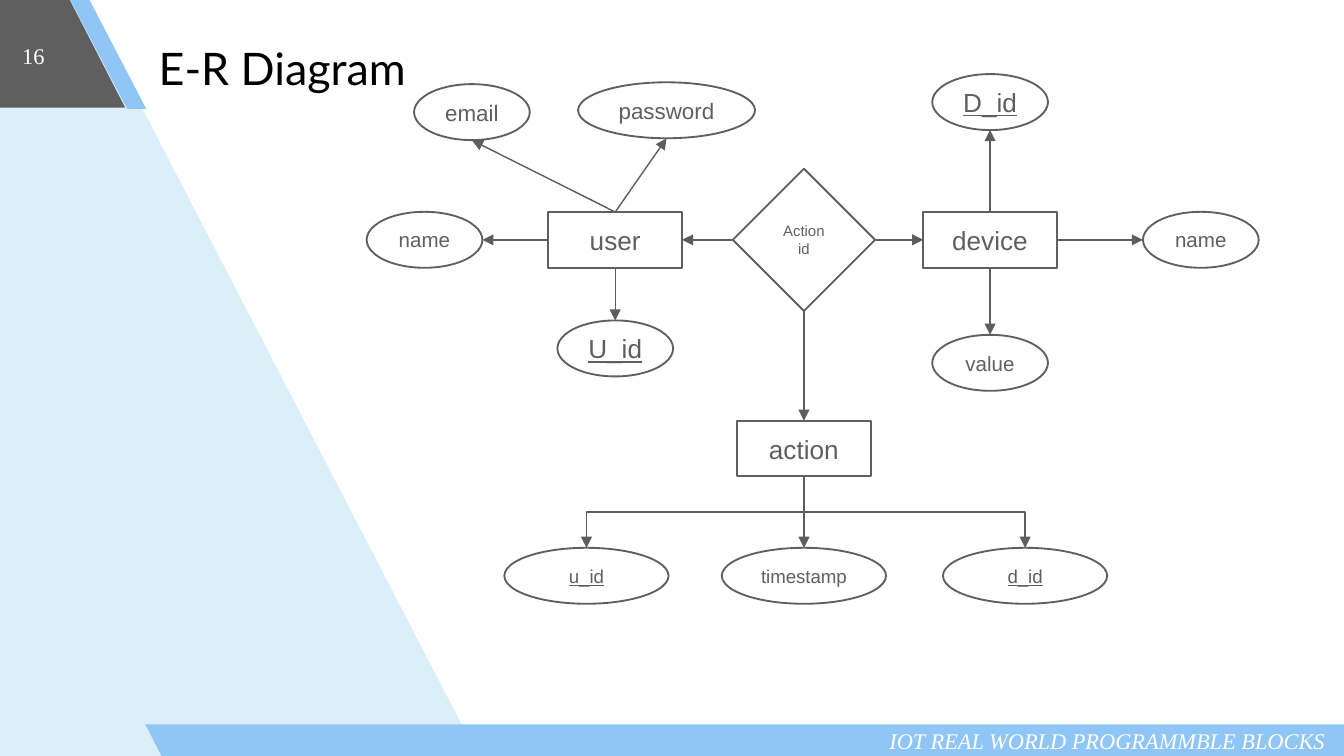
from dataclasses import dataclass
from pptx import Presentation
from pptx.dml.color import RGBColor
from pptx.enum.shapes import MSO_CONNECTOR, MSO_SHAPE
from pptx.enum.text import MSO_ANCHOR, MSO_AUTO_SIZE, PP_ALIGN
from pptx.oxml.ns import qn
from pptx.oxml.xmlchemy import OxmlElement
from pptx.util import Pt

RECT, OVAL, DIAMOND = MSO_SHAPE.RECTANGLE, MSO_SHAPE.OVAL, MSO_SHAPE.DIAMOND
SLANT = MSO_SHAPE.PARALLELOGRAM
STRAIGHT, ELBOW = MSO_CONNECTOR.STRAIGHT, MSO_CONNECTOR.ELBOW
TOP, MIDDLE = MSO_ANCHOR.TOP, MSO_ANCHOR.MIDDLE
LEFT, CENTER = PP_ALIGN.LEFT, PP_ALIGN.CENTER
NORTH, WEST, SOUTH, EAST = range(4)


@dataclass(frozen=True)
class Theme:
    ink: str = "5F5F5F"
    wire: str = "5D5D5D"
    pale: str = "DBEFF9"
    blue: str = "90C6F6"
    white: str = "FFFFFF"
    black: str = "000000"
    head: str = "Lato"
    serif: str = "Times New Roman"
    sans: str = "Arial"
    title: int = 24
    large: int = 14
    mid: int = 12
    small: int = 11
    fine: int = 10
    tiny: int = 8


THEME = Theme()
ROW, BASE = 128.5, 308.5
USER, HUB, DEVICE = 329.6, 430.7, 530.4
BOX, DOT, WIDE = (71.6, 29.8), (62, 30), (88, 30)

NODES = {
    "user": (RECT, USER, ROW, BOX, "user", THEME.large, False),
    "device": (RECT, DEVICE, ROW, BOX, "device", THEME.large, False),
    "action": (RECT, HUB, 240.3, BOX, "action", THEME.large, False),
    "link": (DIAMOND, HUB, ROW, (76.2, 76.2), "Action\nid", THEME.tiny, False),
    "email": (OVAL, 252.8, 60.1, DOT, "email", THEME.mid, False),
    "password": (OVAL, 357.1, 59.1, (94.8, 30), "password", THEME.mid, False),
    "user name": (OVAL, 227.4, ROW, DOT, "name", THEME.small, False),
    "user id": (OVAL, USER, 186.7, DOT, "U_id", THEME.large, True),
    "device id": (OVAL, DEVICE, 54.7, DOT, "D_id", THEME.large, True),
    "device name": (OVAL, 643.3, ROW, DOT, "name", THEME.small, False),
    "value": (OVAL, DEVICE, 194.4, DOT, "value", THEME.small, False),
    "user key": (OVAL, 314.2, BASE, WIDE, "u_id", THEME.fine, True),
    "time": (OVAL, HUB, BASE, WIDE, "timestamp", THEME.fine, False),
    "device key": (OVAL, 549.2, BASE, WIDE, "d_id", THEME.fine, True),
}

LINKS = [
    ("link", WEST, "user", EAST),
    ("link", EAST, "device", WEST),
    ("link", SOUTH, "action", NORTH),
    ("user", WEST, "user name", EAST),
    ("user", SOUTH, "user id", NORTH),
    ("user", NORTH, "password", SOUTH),
    ("user", NORTH, "email", SOUTH),
    ("device", NORTH, "device id", SOUTH),
    ("device", EAST, "device name", WEST),
    ("device", SOUTH, "value", NORTH),
    ("action", SOUTH, "time", NORTH),
]


def rgb(code):
    return RGBColor.from_string(code)


def place(shape, x, y, w, h):
    shape.left, shape.top, shape.width, shape.height = map(Pt, (x, y, w, h))


def write(par, text, size, face, color, italic=False, under=False):
    run = par.add_run()
    run.text = text
    font = run.font
    font.size, font.name = Pt(size), face
    font.color.rgb = rgb(color)
    font.bold, font.italic, font.underline = False, italic, under


def paint(shape, fill, line=None):
    shape.shadow.inherit = False
    shape.fill.solid()
    shape.fill.fore_color.rgb = rgb(fill)
    if line:
        shape.line.color.rgb = rgb(line)
        shape.line.width = Pt(1)
    else:
        shape.line.fill.background()


def add_slant(slide, x, y, w, h, adjust, fill):
    shape = slide.shapes.add_shape(SLANT, Pt(x), Pt(y), Pt(w), Pt(h))
    shape.adjustments[0] = adjust
    shape._element.spPr.find(qn("a:xfrm")).set("flipH", "1")
    paint(shape, fill)


def add_back(slide):
    points = [(256.3, 405.4), (44.6, -2.9), (-4.3, -2.9), (-1.4, 407.5)]
    points = [(Pt(x), Pt(y)) for x, y in points]
    form = slide.shapes.build_freeform(*points[0])
    form.add_line_segments(points[1:], close=True)
    paint(form.convert_to_shape(), THEME.pale)
    add_slant(slide, -71.3, -1.4, 138.4, 59, 0.515, THEME.ink)
    add_slant(slide, 37.4, -0.7, 41, 59, 0.75, THEME.blue)
    add_slant(slide, 77.8, 388, 658.8, 18, 0.514, THEME.blue)


def fill_holder(slide, holder, spot, anchor, align, *style):
    slide.shapes._spTree.append(holder._element)
    place(holder, *spot)
    frame = holder.text_frame
    frame.auto_size = MSO_AUTO_SIZE.NONE
    frame.vertical_anchor = anchor
    par = frame.paragraphs[0]
    par.alignment = align
    par.space_before = Pt(0)
    props = par._p.get_or_add_pPr()
    props.set("marL", "0")
    props.set("indent", "0")
    props.append(OxmlElement("a:buNone"))
    write(par, *style)
    return frame


def add_footer(slide):
    box = slide.shapes.add_textbox(Pt(469.4), Pt(386), Pt(250.6), Pt(21.6))
    frame = box.text_frame
    frame.word_wrap = False
    write(frame.paragraphs[0], "IOT REAL WORLD PROGRAMMBLE BLOCKS",
          THEME.mid, THEME.serif, THEME.white, italic=True)


def add_node(slide, kind, x, y, span, text, size, under):
    w, h = span
    shape = slide.shapes.add_shape(kind, Pt(x - w / 2), Pt(y - h / 2), Pt(w), Pt(h))
    paint(shape, THEME.white, THEME.ink)
    frame = shape.text_frame
    frame.vertical_anchor = MIDDLE
    for i, line in enumerate(text.split("\n")):
        par = frame.add_paragraph() if i else frame.paragraphs[0]
        par.alignment = CENTER
        write(par, line, size, THEME.sans, THEME.ink, under=under)
    return shape


def port(name, side):
    _, x, y, (w, h), *_ = NODES[name]
    dx, dy = [(0, -h), (-w, 0), (0, h), (w, 0)][side]
    return x + dx / 2, y + dy / 2


def add_wire(slide, kind, start, end):
    wire = slide.shapes.add_connector(kind, *map(Pt, (*start, *end)))
    wire.line.color.rgb = rgb(THEME.wire)
    wire.line.width = Pt(0.75)
    tip = OxmlElement("a:tailEnd")
    tip.set("type", "triangle")
    wire.line._get_or_add_ln().append(tip)
    wire._element.spPr.append(OxmlElement("a:effectLst"))
    return wire


def add_link(slide, shapes, source, side, target, face):
    wire = add_wire(slide, STRAIGHT, port(source, side), port(target, face))
    wire.begin_connect(shapes[source], side)
    if NODES[target][0] == RECT:
        wire.end_connect(shapes[target], face)


def add_branch(slide, target):
    start, end = port("action", SOUTH), port(target, NORTH)
    wire = add_wire(slide, ELBOW, start, end)
    run, drop = abs(end[0] - start[0]), end[1] - start[1]
    x, y = (start[0] + end[0]) / 2, (start[1] + end[1]) / 2
    place(wire, x - drop / 2, y - run / 2, drop, run)
    right = end[0] > start[0]
    frame = wire._element.spPr.find(qn("a:xfrm"))
    frame.set("rot", str((270 if right else 90) * 60000))
    frame.set("flipH", str(int(right)))


def main():
    deck = Presentation()
    deck.slide_width, deck.slide_height = Pt(720), Pt(405)
    slide = deck.slides.add_slide(deck.slide_layouts[1])
    title, body = slide.placeholders
    add_back(slide)
    fill_holder(slide, title, (77.8, 18, 177, 36.7), TOP, LEFT,
                "E-R Diagram", THEME.title, THEME.head, THEME.black)
    frame = fill_holder(slide, body, (-3, 0.7, 41.8, 58.3), MIDDLE, CENTER,
                        "16", THEME.mid, THEME.serif, THEME.white)
    frame.margin_top = frame.margin_bottom = Pt(7.2)
    add_footer(slide)
    shapes = {name: add_node(slide, *node) for name, node in NODES.items()}
    for link in LINKS:
        add_link(slide, shapes, *link)
    for target in ("user key", "device key"):
        add_branch(slide, target)
    deck.save("out.pptx")


if __name__ == "__main__":
    main()
